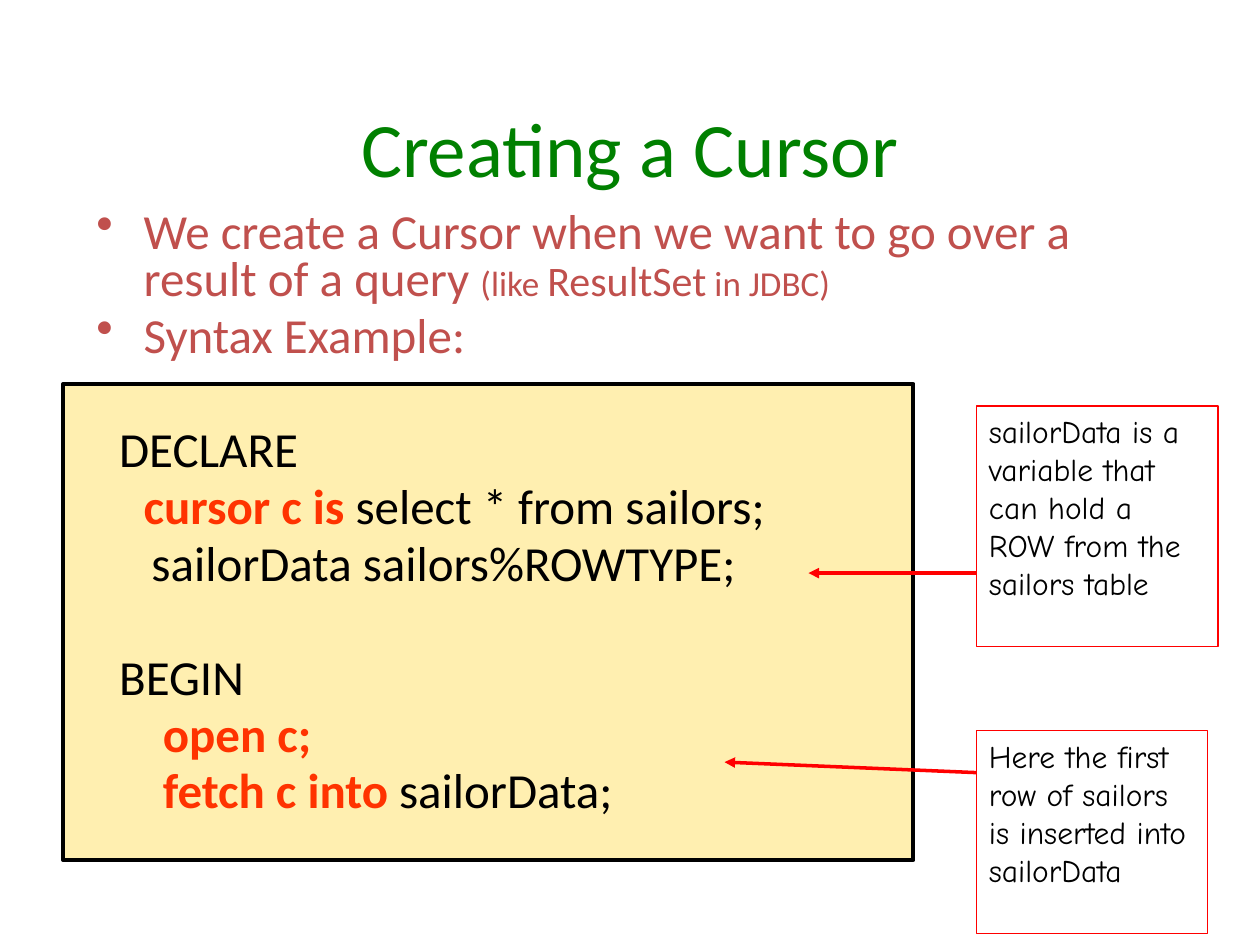
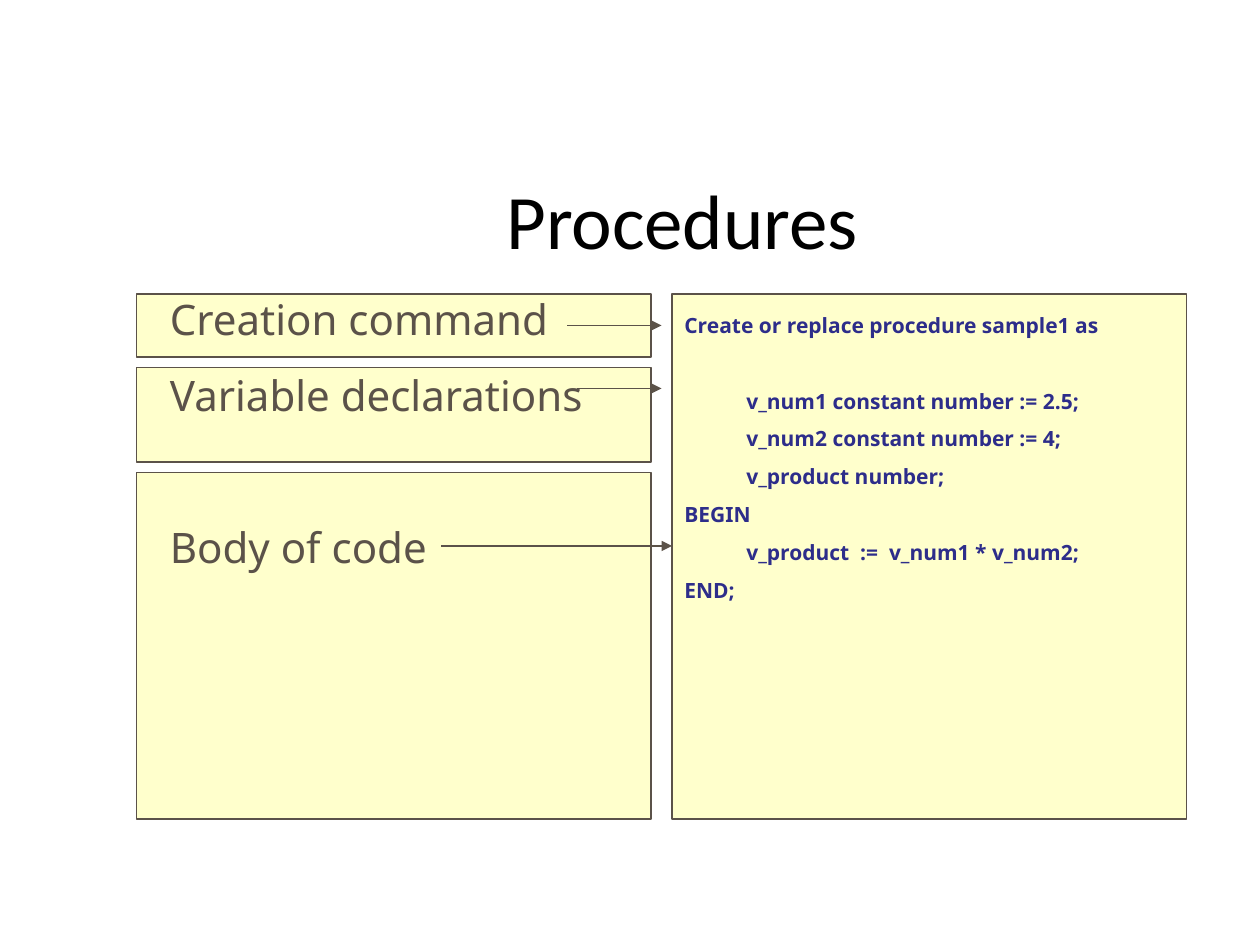
from collections import namedtuple

from lxml import etree
from pptx import Presentation
from pptx.dml.color import RGBColor
from pptx.enum.shapes import MSO_CONNECTOR, MSO_SHAPE
from pptx.enum.text import MSO_ANCHOR, PP_ALIGN
from pptx.oxml.ns import qn
from pptx.util import Pt

STRAIGHT = MSO_CONNECTOR.STRAIGHT
RECTANGLE, ROUNDED = MSO_SHAPE.RECTANGLE, MSO_SHAPE.ROUNDED_RECTANGLE
TOP, MIDDLE, BOTTOM = MSO_ANCHOR.TOP, MSO_ANCHOR.MIDDLE, MSO_ANCHOR.BOTTOM
LEFT, CENTER = PP_ALIGN.LEFT, PP_ALIGN.CENTER

BLACK, GREEN, RED = "000000", "008000", "FF0000"
BRICK, KEYWORD, GOLD = "C0504D", "FF3300", "FFCC00"
CREAM, BROWN, NAVY = "FFFFCC", "5B5249", "2D2D8A"
HEADING_FONT, NOTE_FONT, CODE_FONT = "Calibri", "Comic Neue", "Noto Sans"

Box = namedtuple("Box", "left top width height")
Words = namedtuple("Words", "text size color bold", defaults=(28, BLACK, False))
Line = namedtuple("Line", "words before indent bullet", defaults=(0, 0, False))


def rgb(code):
    """Turn a hex string into a colour."""
    return RGBColor.from_string(code)


def add_bullet(paragraph, hang):
    """Give a paragraph a round bullet that hangs left of its text."""
    properties = paragraph._p.get_or_add_pPr()
    properties.set("indent", str(-Pt(hang)))
    etree.SubElement(properties, qn("a:buChar"), char="•")


def write(frame, lines, font, spacing=1.0, anchor=TOP, align=LEFT):
    """Fill a text frame with lines of styled words."""
    frame.word_wrap = True
    frame.vertical_anchor = anchor
    for number, line in enumerate(lines):
        paragraph = frame.add_paragraph() if number else frame.paragraphs[0]
        paragraph.alignment = align
        paragraph.line_spacing = spacing
        paragraph.space_before = Pt(line.before)
        paragraph._p.get_or_add_pPr().set("marL", str(Pt(line.indent)))
        if line.bullet:
            add_bullet(paragraph, line.indent)
        for words in line.words:
            run = paragraph.add_run()
            run.text = words.text
            run.font.name = font
            run.font.size = Pt(words.size)
            run.font.bold = words.bold
            run.font.color.rgb = rgb(words.color)


def add_text(slide, box, lines, font, **layout):
    """Place a text box."""
    frame = slide.shapes.add_textbox(*map(Pt, box)).text_frame
    write(frame, lines, font, **layout)


def add_title(slide, box, title, color, anchor, spacing=1.0):
    """Place a slide title."""
    add_text(slide, box, [Line([Words(title, 44, color)])], HEADING_FONT,
             spacing=spacing, anchor=anchor, align=CENTER)


def add_panel(slide, box, outline, weight, fill=None, opacity=100, kind=RECTANGLE):
    """Place an outlined panel, square-cornered, with an optional fill."""
    panel = slide.shapes.add_shape(kind, *map(Pt, box))
    panel.shadow.inherit = False
    panel.line.color.rgb = rgb(outline)
    panel.line.width = Pt(weight)
    if kind == ROUNDED:
        panel.adjustments[0] = 0
    if fill is None:
        panel.fill.background()
    else:
        panel.fill.solid()
        panel.fill.fore_color.rgb = rgb(fill)
    if opacity < 100:
        color = panel.fill._xPr.find(qn("a:solidFill"))[0]
        etree.SubElement(color, qn("a:alpha"), val=str(opacity * 1000))
    return panel


def add_arrow(slide, start, end, color, weight):
    """Draw a straight arrow from start to end."""
    arrow = slide.shapes.add_connector(STRAIGHT, *map(Pt, (*start, *end)))
    arrow.line.color.rgb = rgb(color)
    arrow.line.width = Pt(weight)
    etree.SubElement(arrow.line._get_or_add_ln(), qn("a:tailEnd"), type="triangle")
    etree.SubElement(arrow._element.spPr, qn("a:effectLst"))


def add_note(slide, box, note, drop, reach, rise=0):
    """Place a side note with an arrow pointing left to the code."""
    panel = add_panel(slide, box, RED, 0.75)
    write(panel.text_frame, [Line([Words(note, 18)])], NOTE_FONT, spacing=Pt(21.7))
    start = box.left, box.top + drop
    add_arrow(slide, start, (start[0] - reach, start[1] - rise), RED, 2)


def add_cursor_text(slide, box):
    """Write the points on cursors and the code example below them."""
    gap, blank_line = 5.6, 32.6
    lines = [
        Line([Words("We create a Cursor when we want to go over a result of a query ",
                    color=BRICK),
              Words("(like ", 20, BRICK), Words("ResultSet", 24, BRICK),
              Words(" in JDBC)", 20, BRICK)], gap, 27, True),
        Line([Words("Syntax Example:", color=BRICK)], gap, 27, True),
        Line([Words("DECLARE")], gap + blank_line, 13),
        Line([Words("cursor c is", 28, KEYWORD, True),
              Words(" select * from sailors;")], gap, 27),
        Line([Words("sailorData sailors%ROWTYPE;")], gap, 31.5),
        Line([Words("BEGIN")], gap + blank_line, 13),
        Line([Words("open c;", 28, KEYWORD, True)], gap, 38),
        Line([Words("fetch c into ", 28, KEYWORD, True),
              Words("sailorData;")], gap, 38),
    ]
    add_text(slide, box, lines, HEADING_FONT, spacing=0.8)


def add_sections(slide, box):
    """Stack the panels for the parts of a procedure and name each part."""
    gap, top = 6, box.top
    for height in (36, 54, box.height - 36 - 54 - 2 * gap):
        add_panel(slide, Box(box.left, top, box.width, height), BROWN, 0.74,
                  CREAM, kind=ROUNDED)
        top += height + gap
    labels = (("Creation command", 0), ("Variable declarations", 14.8),
              ("Body of code", 58.2))
    lines = [Line([Words(label, 24, BROWN)], before) for label, before in labels]
    add_text(slide, Box(box.left + 12, box.top - 4, 264, 168), lines, CODE_FONT,
             spacing=Pt(28.8))


def add_sample(slide, box):
    """Place the panel with the sample procedure."""
    add_panel(slide, box, BROWN, 0.74, CREAM, kind=ROUNDED)
    gap, blank_line, indent = 7.2, 21.6, 35.4
    code = (("Create or replace procedure sample1 as", 0, 0),
            ("v_num1 constant number := 2.5;", gap + blank_line, indent),
            ("v_num2 constant number := 4;", gap, indent),
            ("v_product number;", gap, indent),
            ("BEGIN", gap, 0),
            ("v_product  :=  v_num1 * v_num2;", gap, indent),
            ("END;", gap, 0))
    lines = [Line([Words(text, 12, NAVY, True)], before, left)
             for text, before, left in code]
    add_text(slide, Box(box.left, box.top + 7, 300, 199), lines, CODE_FONT,
             spacing=Pt(14.4))


def build_cursor_slide(slide):
    """Build the slide on creating a cursor."""
    add_title(slide, Box(36, 54, 648, 60), "Creating a Cursor", GREEN, MIDDLE)
    add_panel(slide, Box(36, 219.5, 486, 272), BLACK, 2.25, GOLD, 31)
    add_cursor_text(slide, Box(48, 117.5, 636, 386.5))
    add_note(slide, Box(558, 232, 138, 137.5),
             "sailorData is a variable that can hold a ROW from the sailors table",
             95.5, 96)
    add_note(slide, Box(558, 417.5, 132, 116),
             "Here the first row of sailors is inserted into sailorData",
             24, 144, 6)


def build_procedures_slide(slide):
    """Build the slide on the parts of a procedure."""
    add_title(slide, Box(84, 66, 612, 90), "Procedures", BLACK, BOTTOM, 0.95)
    add_sample(slide, Box(384, 168, 294, 300))
    add_sections(slide, Box(78, 168, 294, 300))
    for left, right, top in ((324, 378, 186), (330, 378, 222), (252, 384, 312)):
        add_arrow(slide, (left, top), (right, top), BROWN, 0.74)


def main():
    """Build and save the presentation."""
    deck = Presentation()
    deck.slide_width, deck.slide_height = Pt(720), Pt(540)
    for build in (build_cursor_slide, build_procedures_slide):
        build(deck.slides.add_slide(deck.slide_layouts[6]))
    deck.save("out.pptx")


main()
